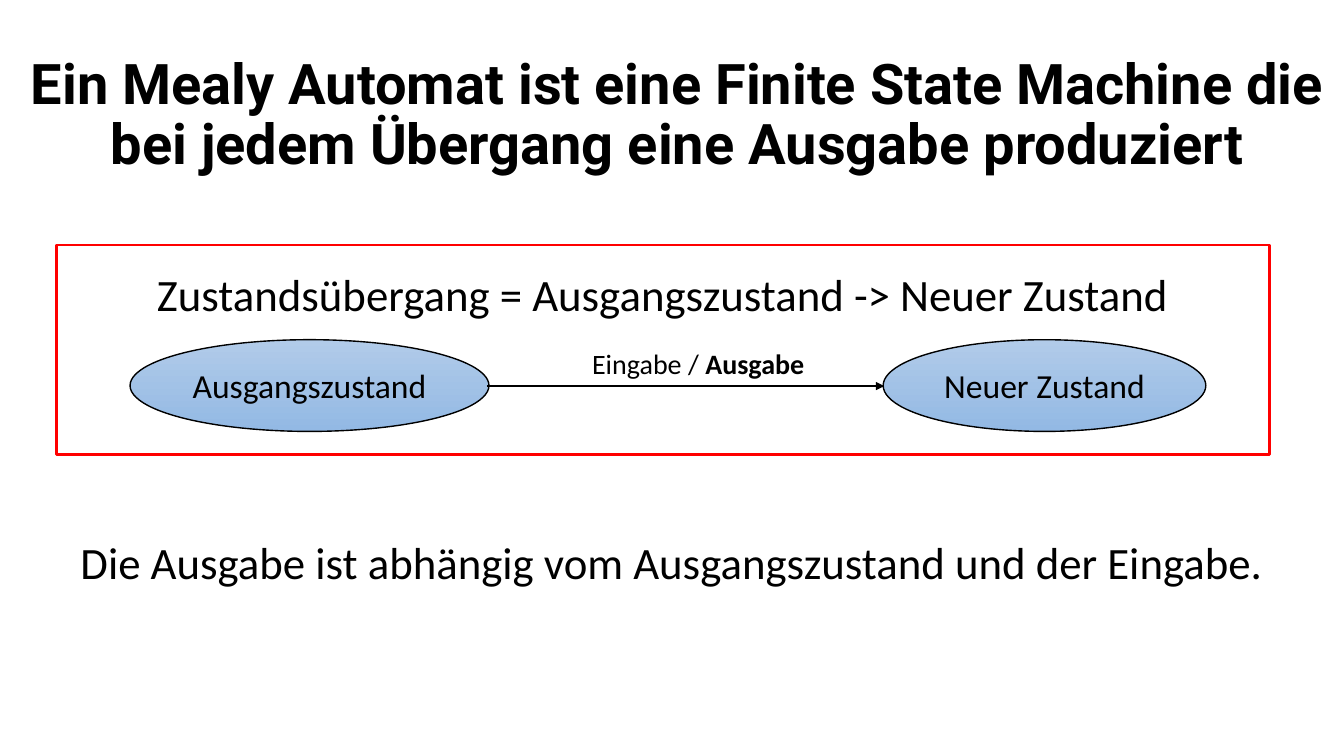
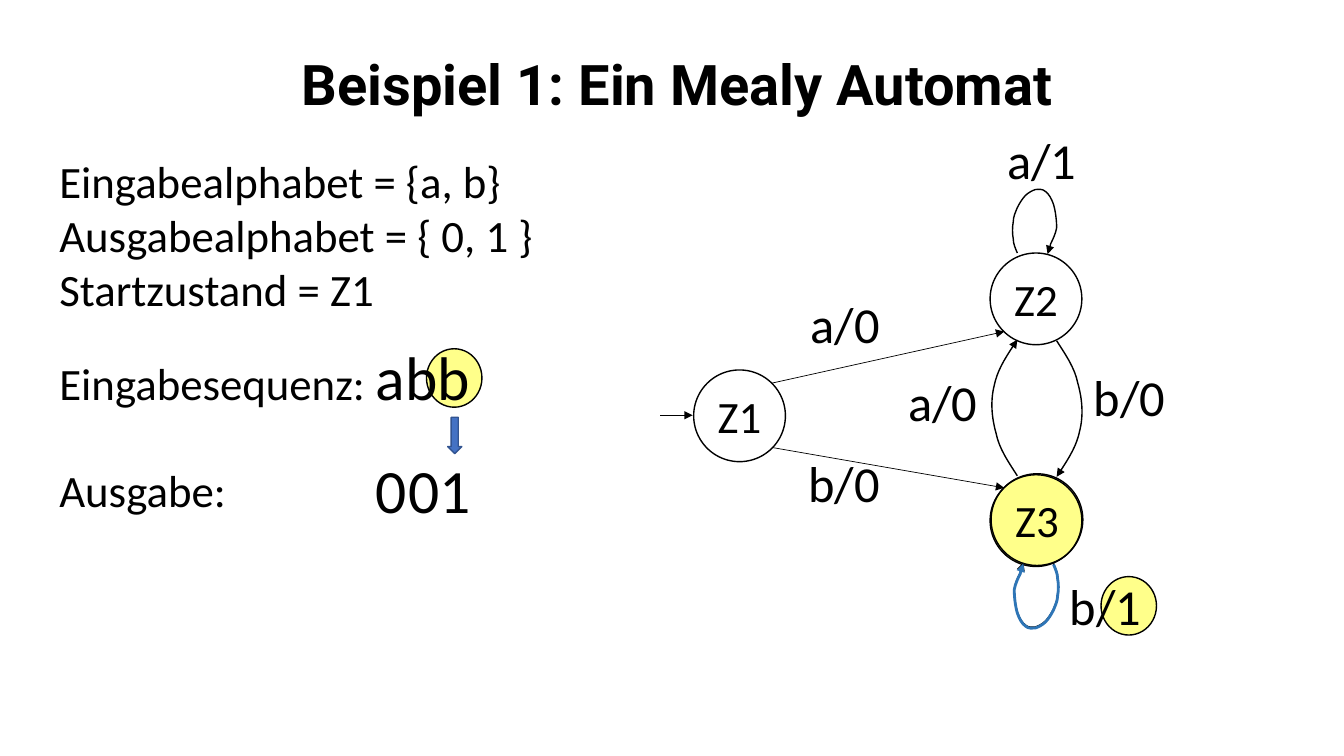
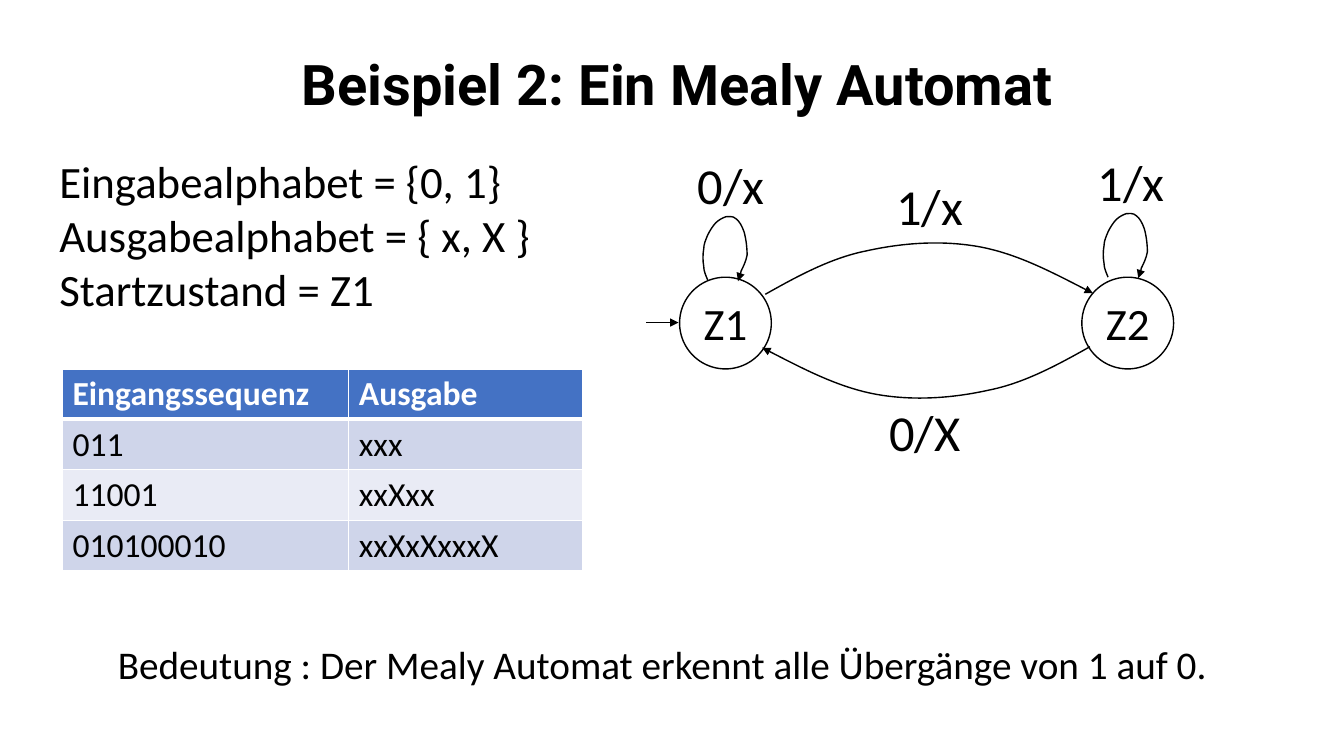
"""Build three slides that explain Mealy machines."""
from lxml import etree
from pptx import Presentation
from pptx.dml.color import RGBColor
from pptx.enum.shapes import MSO_CONNECTOR, MSO_SHAPE
from pptx.enum.text import MSO_ANCHOR, PP_ALIGN
from pptx.oxml.ns import qn
from pptx.util import Inches, Pt

OVAL, RECT, DOWN = MSO_SHAPE.OVAL, MSO_SHAPE.RECTANGLE, MSO_SHAPE.DOWN_ARROW
LEFT, CENTER = PP_ALIGN.LEFT, PP_ALIGN.CENTER
TOP, MIDDLE = MSO_ANCHOR.TOP, MSO_ANCHOR.MIDDLE
STRAIGHT = MSO_CONNECTOR.STRAIGHT

COLORS = {
    "black": "000000", "white": "FFFFFF", "red": "FF0000", "yellow": "FFFF00",
    "blue": "4472C4", "navy": "325491", "loop": "2E75B6",
    "light": "B1CBE9", "deep": "93B9E4", "odd": "CFD5EA", "even": "E9EBF5",
}
RGB = {name: RGBColor.from_string(code) for name, code in COLORS.items()}

LOOP = [
    (-.02, -.05), (-.04, -.09), (-.04, -.14), (-.05, -.19), (-.05, -.26),
    (-.04, -.31), (-.04, -.36), (-.02, -.4), (0, -.45), (.02, -.49),
    (.05, -.54), (.08, -.57), (.11, -.6), (.15, -.62), (.18, -.63),
    (.21, -.63), (.25, -.64), (.28, -.61), (.31, -.59), (.34, -.54),
    (.36, -.48), (.38, -.41), (.39, -.32), (.39, -.25), (.38, -.19),
    (.35, -.13), (.33, -.09), (.32, -.04), (.31, -.02), (.3, .01),
]
BEND = [(.09, .14), (.18, .27), (.21, .42), (.25, .56), (.27, .73),
        (.23, .89), (.2, 1.04), (.1, 1.2), (0, 1.35)]
ARC = [(.32, -.18), (.65, -.36), (1, -.43), (1.36, -.51), (1.75, -.54),
       (2.13, -.47), (2.5, -.4), (2.88, -.2), (3.25, -.01)]


def put(page, text, box, form=None, fill=None, edge="black", pen=1, clear=None,
        size=32, accent=None, strong=False, bold=False, font="Calibri",
        align=LEFT, anchor=TOP, inset=.05, space=None):
    """Place text, bare or in a shape; parts between bars take the accent."""
    area = [Inches(n) for n in box]
    if form is None:
        item = page.shapes.add_textbox(*area)
    else:
        item = page.shapes.add_shape(form, *area)
        item.shadow.inherit = False
        item.line.color.rgb, item.line.width = RGB[edge], Pt(pen)
        if fill is None:
            item.fill.background()
        elif isinstance(fill, tuple):
            item.fill.gradient()
            item.fill.gradient_angle = 270
            for stop, name in zip(item.fill.gradient_stops, fill):
                stop.color.rgb = RGB[name]
        else:
            item.fill.solid()
            item.fill.fore_color.rgb = RGB[fill]
        if clear:
            tone = item.element.spPr.find(qn("a:solidFill"))[0]
            etree.SubElement(tone, qn("a:alpha"), val=str(clear * 1000))
    if not text:
        return
    frame = item.text_frame
    frame.word_wrap, frame.vertical_anchor = True, anchor
    frame.margin_top = Inches(inset)
    if form is not None:
        frame.margin_left = frame.margin_right = 0
    for i, line in enumerate(text.split("\n")):
        para = frame.add_paragraph() if i else frame.paragraphs[0]
        para.alignment, para.line_spacing = align, space
        for j, part in enumerate(line.split("|")):
            run = para.add_run()
            run.text = part
            run.font.name, run.font.color.rgb = font, RGB["black"]
            run.font.size = Pt(accent if j % 2 and accent else size)
            run.font.bold = bold or bool(strong and j % 2)


def arrow(page, start, steps, turn=1, color="black", pen=1):
    """Draw a straight or curved arrow along offsets from its start."""
    x, y = start
    spots = [(Inches(x + turn * dx), Inches(y + turn * dy)) for dx, dy in steps]
    if len(spots) == 1:
        mark = page.shapes.add_connector(STRAIGHT, Inches(x), Inches(y), *spots[0])
    else:
        pencil = page.shapes.build_freeform(Inches(x), Inches(y))
        pencil.add_line_segments(spots, close=False)
        mark = pencil.convert_to_shape()
        mark.fill.background()
        track = next(mark.element.iter(qn("a:path")))
        legs = track.findall(qn("a:lnTo"))
        for i in range(0, len(legs), 3):
            curve = etree.SubElement(track, qn("a:cubicBezTo"))
            for leg in legs[i:i + 3]:
                curve.append(leg[0])
                track.remove(leg)
    mark.line.color.rgb, mark.line.width = RGB[color], Pt(pen)
    props = mark.element.spPr
    etree.SubElement(props.find(qn("a:ln")), qn("a:tailEnd"), type="triangle")
    etree.SubElement(props, qn("a:effectLst"))


deck = Presentation()
deck.slide_width, deck.slide_height = Inches(13.33), Inches(7.5)
pages = []
for title, top in [
    ("Ein Mealy Automat ist eine Finite State Machine die bei jedem "
     "Übergang eine Ausgabe produziert", .43),
    ("Beispiel 1: Ein Mealy Automat", .14),
    ("Beispiel 2: Ein Mealy Automat", .14),
]:
    page = deck.slides.add_slide(deck.slide_layouts[6])
    put(page, title, (.1, top, 13.23, 1.45), size=40, bold=True, font="Roboto",
        align=CENTER, anchor=MIDDLE, space=.9)
    pages.append(page)
intro, first, second = pages

put(intro, "Die Ausgabe ist abhängig vom Ausgangszustand und der Eingabe.",
    (.7, 5.26, 12.13, .64))
put(intro, "Zustandsübergang = Ausgangszustand -> Neuer Zustand",
    (.56, 2.43, 12.03, 2.08), form=RECT, fill="white", edge="red", pen=2,
    align=CENTER, inset=.22)
for name, left, width in [("Ausgangszustand", 1.29, 3.56), ("Neuer Zustand", 8.76, 3.2)]:
    put(intro, name, (left, 3.37, width, .91), form=OVAL, fill=("light", "deep"),
        size=24, align=CENTER, anchor=MIDDLE)
arrow(intro, (4.83, 3.83), [(3.94, 0)])
put(intro, "Eingabe / |Ausgabe", (5.62, 3.39, 2.61, .44), size=20, strong=True,
    align=CENTER)

for spot in [(4.23, 3.46, .55, .58), (10.92, 5.72, .55, .58), (9.82, 4.71, .91, .91)]:
    put(first, "", spot, form=OVAL, fill="yellow", clear=46)

for page, inputs, outputs in [(first, "a, b", " 0, 1 "), (second, "0, 1", " x, X ")]:
    put(page, f"Eingabealphabet = {{{inputs}}}\nAusgabealphabet = {{{outputs}}}\n"
        "Startzustand = Z1", (.49, 1.48, 5.9, 1.72))

for page, name, left, top in [
    (first, "Z1", 6.88, 3.67), (first, "Z2", 9.82, 2.51), (first, "Z3", 9.83, 4.7),
    (second, "Z1", 6.74, 2.75), (second, "Z2", 10.73, 2.75),
]:
    put(page, name, (left, top, .91, .91), form=OVAL, align=CENTER, anchor=MIDDLE)
    if name == "Z1":
        arrow(page, (left - .33, top + .45), [(.32, 0)])

for page, label, left, top in [
    (first, "b/0", 10.75, 3.58), (first, "a/0", 7.94, 2.86), (first, "a/1", 9.89, 1.23),
    (first, "b/1", 10.51, 5.66), (first, "a/0", 8.91, 3.63), (first, "b/0", 7.92, 4.44),
    (second, "0/x", 6.82, 1.48), (second, "1/x", 8.79, 1.69),
    (second, "0/X", 8.72, 3.93), (second, "1/x", 10.79, 1.45),
]:
    put(page, label, (left, top, 1, .71), size=36)

for page, start, steps, turn in [
    (first, (10.09, 2.51), LOOP, 1), (first, (10.45, 5.59), LOOP, -1),
    (first, (10.48, 3.38), BEND, 1), (first, (10.09, 4.72), BEND, -1),
    (second, (7.02, 2.78), LOOP, 1), (second, (10.99, 2.75), LOOP, 1),
    (second, (7.59, 2.92), ARC, 1), (second, (10.81, 3.44), ARC, -1),
]:
    arrow(page, start, steps, turn)
arrow(first, (7.66, 3.8), [(2.3, -.51)], pen=.5)
arrow(first, (7.66, 4.44), [(2.3, .4)], pen=.5)
arrow(first, (10.45, 5.6), LOOP, -1, color="loop", pen=2)

put(first, "Eingabesequenz: |abb", (.49, 3.31, 5.51, .84), accent=44)
put(first, "Ausgabe:", (.49, 4.54, 2.34, .64))
put(first, "", (4.44, 4.14, .14, .36), form=DOWN, fill="blue", edge="navy")
for digit, left in zip("001", (3.63, 3.95, 4.26)):
    put(first, digit, (left, 4.43, .45, .84), size=44)

rows = [("Eingangssequenz", "Ausgabe"), ("011", "xxx"), ("11001", "xxXxx"),
        ("010100010", "xxXxXxxxX")]
grid = second.shapes.add_table(4, 2, Inches(.62), Inches(3.66), Inches(5.16), Inches(2)).table
for col, width in zip(grid.columns, (2.84, 2.32)):
    col.width = Inches(width)
for r, row in enumerate(rows):
    for c, word in enumerate(row):
        cell = grid.cell(r, c)
        props = cell._tc.get_or_add_tcPr()
        for side in "LRTB":
            thick = (r, side) in [(0, "B"), (1, "T")]
            rim = etree.SubElement(props, qn(f"a:ln{side}"), w=str(Pt(3 if thick else 1)))
            paint = etree.SubElement(rim, qn("a:solidFill"))
            etree.SubElement(paint, qn("a:srgbClr"), val=COLORS["white"])
        cell.fill.solid()
        cell.fill.fore_color.rgb = RGB["blue" if r == 0 else "odd" if r % 2 else "even"]
        cell.text = word
        face = cell.text_frame.paragraphs[0].runs[0].font
        face.name, face.size, face.bold = "Calibri", Pt(24), r == 0
        face.color.rgb = RGB["black" if r else "white"]

put(second, "Bedeutung : Der Mealy Automat erkennt alle Übergänge von 1 auf 0.",
    (1.07, 6.3, 11.3, .57), size=28)

deck.save("out.pptx")
